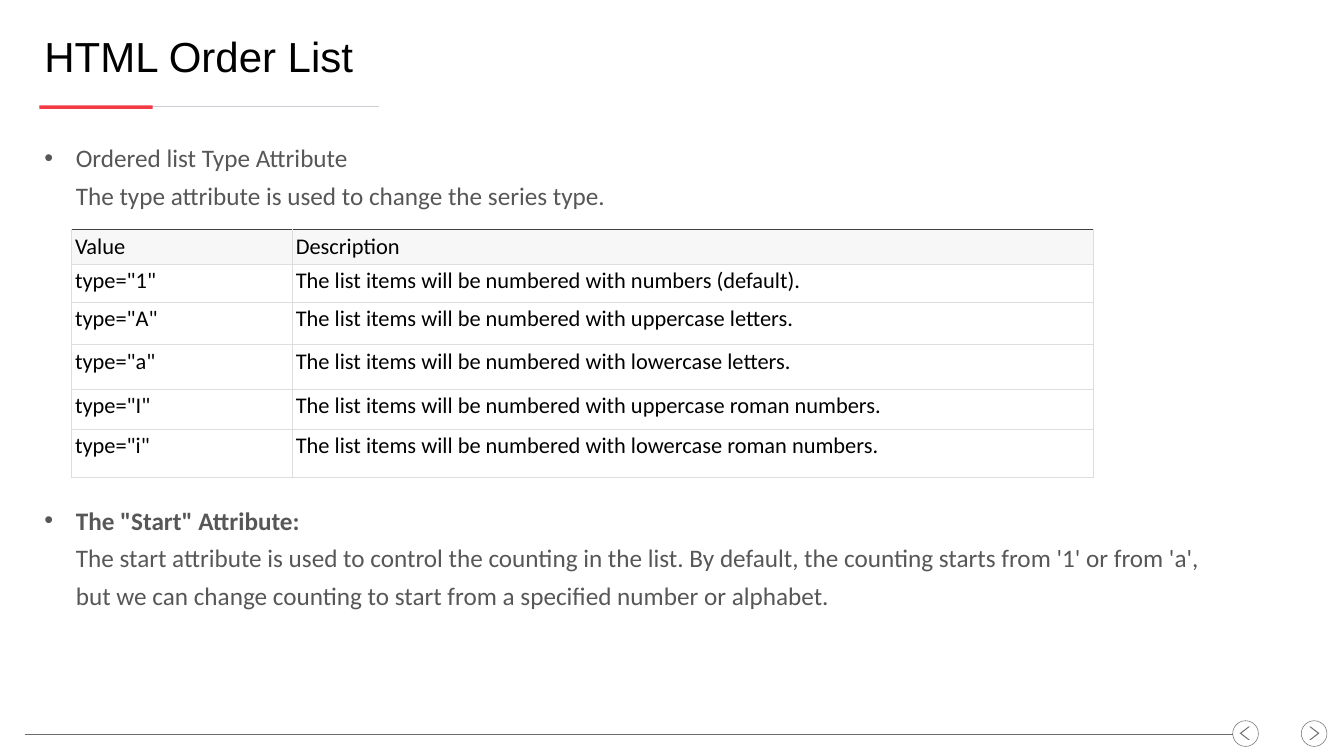
from lxml.etree import SubElement
from pptx import Presentation
from pptx.dml.color import RGBColor
from pptx.enum.shapes import MSO_CONNECTOR, MSO_SHAPE
from pptx.enum.text import MSO_ANCHOR, PP_ALIGN
from pptx.oxml.ns import qn
from pptx.util import Pt

# Content
TITLE = "HTML Order List"
# Each note: top, heading, bold heading, text
NOTES = [
    (189.4, "Ordered list Type Attribute", False,
     "The type attribute is used to change the series type."),
    (707, 'The "Start" Attribute:', True,
     "The start attribute is used to control the counting in the list. "
     "By default, the counting starts from '1' or from 'a', but we can change "
     "counting to start from a specified number or alphabet."),
]
KINDS = [
    ("1", "numbers (default)"),
    ("A", "uppercase letters"),
    ("a", "lowercase letters"),
    ("I", "uppercase roman numbers"),
    ("i", "lowercase roman numbers"),
]
ROWS = [("Value", "Description")] + [
    (f'type="{key}"', f"The list items will be numbered with {name}.")
    for key, name in KINDS
]
COLS = [315.4, 1144.8]
HEIGHTS = [49.7, 54, 60.5, 64, 56.9, 69.8]
COLORS = {
    "black": "000000", "text": "575757", "red": "F23A43", "rule": "CBD0D7",
    "nav": "6C6C6C", "grid": "DDDDDD", "top": "404040", "head": "F7F7F7",
    "white": "FFFFFF",
}
LEFT = 56.2


def rgb(name):
    return RGBColor.from_string(COLORS[name])


def style(run, font, size, color, bold=False):
    run.font.name, run.font.size, run.font.bold = font, Pt(size), bold
    run.font.color.rgb = rgb(color)


def add_line(x1, x2, y, color, width):
    line = slide.shapes.add_connector(
        MSO_CONNECTOR.STRAIGHT, Pt(x1), Pt(y), Pt(x2), Pt(y))
    line.line.color.rgb = rgb(color)
    line.line.width = Pt(width)
    SubElement(line._element.spPr, qn("a:effectLst"))


def add_shape(kind, x, y, w, h, fill=None, line=None):
    shape = slide.shapes.add_shape(kind, Pt(x), Pt(y), Pt(w), Pt(h))
    shape.shadow.inherit = False
    if fill:
        shape.fill.solid()
        shape.fill.fore_color.rgb = rgb(fill)
    else:
        shape.fill.background()
    if line:
        shape.line.color.rgb = rgb(line)
        shape.line.width = Pt(0.75)
    else:
        shape.line.fill.background()
    return shape


def add_note(top, head, bold, text):
    box = slide.shapes.add_textbox(Pt(LEFT), Pt(top), Pt(1680), Pt(190))
    frame = box.text_frame
    frame.word_wrap = True
    para = frame.paragraphs[0]
    para.text = f"{head}\v{text}"
    para.line_spacing = 1.25
    props = para._p.get_or_add_pPr()
    props.set("marL", str(Pt(45)))
    props.set("indent", str(-Pt(45)))
    SubElement(props, qn("a:buFont"), typeface="Arial")
    SubElement(props, qn("a:buChar"), char="•")
    for run, heavy in zip(para.runs, (bold, False)):
        style(run, "Calibri", 36, "text", heavy)


def set_borders(cell, top):
    props = cell._tc.get_or_add_tcPr()
    sides = {"lnL": "grid", "lnR": "grid", "lnT": top, "lnB": "grid"}
    for spot, (side, color) in enumerate(sides.items()):
        edge = SubElement(props, qn(f"a:{side}"), w=str(Pt(0.75)))
        fill = SubElement(edge, qn("a:solidFill"))
        SubElement(fill, qn("a:srgbClr"), val=COLORS[color])
        props.insert(spot, edge)


deck = Presentation()
deck.slide_width, deck.slide_height = Pt(1920), Pt(1080)
slide = deck.slides.add_slide(deck.slide_layouts[5])

# Title and its rule
title = slide.shapes.title
title.left, title.top, title.width, title.height = map(Pt, (LEFT, 42.5, 1804, 75))
frame = title.text_frame
frame.text = TITLE
frame.vertical_anchor = MSO_ANCHOR.MIDDLE
frame.paragraphs[0].alignment = PP_ALIGN.LEFT
style(frame.paragraphs[0].runs[0], "Arial", 60, "black")
add_line(LEFT, 541.4, 152.6, "rule", 1.5)
add_shape(MSO_SHAPE.RECTANGLE, LEFT, 150.5, 162, 5, fill="red")

# Footer line and navigation buttons
add_line(35.3, 1761, 1048.3, "nav", 0.75)
for x, inset, turn in ((1761, 10, 180), (1859, 11.5, 0)):
    add_shape(MSO_SHAPE.OVAL, x, 1029.6, 36.7, 36.7, line="nav")
    arrow = add_shape(MSO_SHAPE.CHEVRON, x + inset, 1038.2, 14.4, 18.7, fill="nav")
    arrow.adjustments[0] = 0.844
    arrow.rotation = turn

# Bulleted notes
for note in NOTES:
    add_note(*note)

# Table of list types
table = slide.shapes.add_table(
    len(ROWS), len(COLS), Pt(102.2), Pt(327.6),
    Pt(sum(COLS)), Pt(sum(HEIGHTS))).table
table.first_row = table.horz_banding = False
for col, width in zip(table.columns, COLS):
    col.width = Pt(width)
for r, (row, height) in enumerate(zip(ROWS, HEIGHTS)):
    table.rows[r].height = Pt(height)
    for c, text in enumerate(row):
        cell = table.cell(r, c)
        cell.text = text
        cell.margin_left = cell.margin_right = Pt(5)
        cell.margin_top = cell.margin_bottom = Pt(5)
        cell.vertical_anchor = MSO_ANCHOR.TOP if r else MSO_ANCHOR.BOTTOM
        cell.fill.solid()
        cell.fill.fore_color.rgb = rgb("white" if r else "head")
        style(cell.text_frame.paragraphs[0].runs[0], "Calibri", 32, "black")
        set_borders(cell, "grid" if r else "top")

deck.save("out.pptx")
